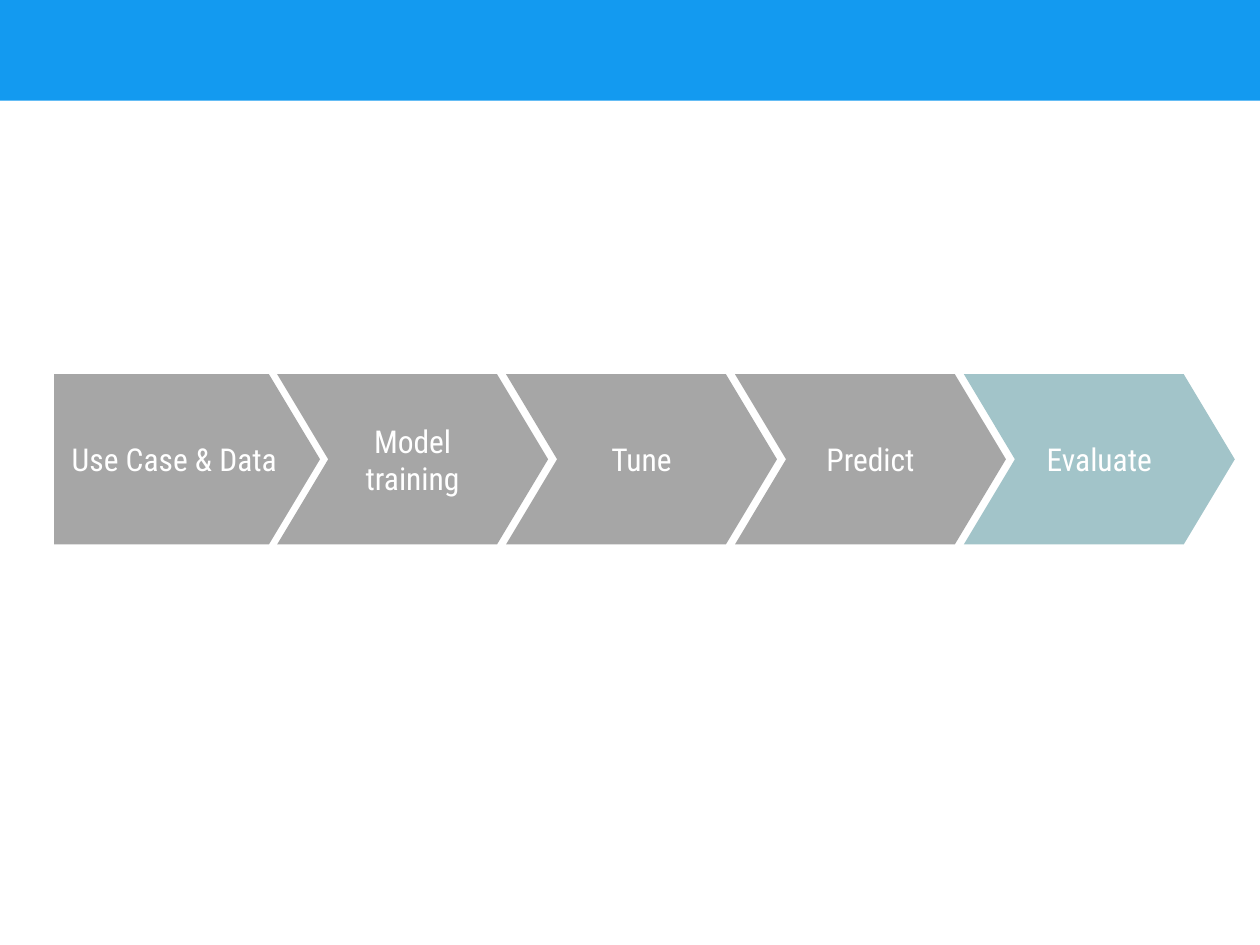
from dataclasses import dataclass

from pptx import Presentation
from pptx.dml.color import RGBColor as Rgb
from pptx.enum.shapes import MSO_SHAPE as Kind
from pptx.enum.text import MSO_ANCHOR as Anchor, PP_ALIGN as Align
from pptx.util import Inches, Pt

HUES = {"bar": "139AF0", "done": "A6A6A6", "now": "A2C4C9", "text": "FFFFFF"}
FONT = {"name": "Roboto Condensed", "size": Pt(18), "bold": False}
FRAME = {"word_wrap": True, "vertical_anchor": Anchor.MIDDLE}
FRAME |= {f"margin_{side}": Inches(0.1) for side in ("left", "top", "right", "bottom")}

# Row of steps, in inches
TOP, HIGH = 2.97, 1.35
FIRST, LAST = 2.2, 7.65


@dataclass
class Step:
    text: str
    left: float
    width: float = 2.15
    kind: Kind = Kind.CHEVRON
    hue: str = "done"


def add_block(slide, kind: Kind, left: float, top: float,
              width: float, height: float, hue: str):
    shape = slide.shapes.add_shape(
        kind, Inches(left), Inches(top), Inches(width), Inches(height))
    shape.shadow.inherit = False
    shape.fill.solid()
    shape.fill.fore_color.rgb = Rgb.from_string(HUES[hue])
    shape.line.fill.background()
    return shape


def add_step(slide, step: Step) -> None:
    shape = add_block(slide, step.kind, step.left, TOP, step.width, HIGH, step.hue)
    shape.adjustments[0] = 0.3
    frame = shape.text_frame
    for key, value in FRAME.items():
        setattr(frame, key, value)
    para = frame.paragraphs[0]
    para.alignment = Align.CENTER
    run = para.add_run()
    run.text = step.text
    for key, value in FONT.items():
        setattr(run.font, key, value)
    run.font.color.rgb = Rgb.from_string(HUES["text"])


def main() -> None:
    deck = Presentation()
    deck.slide_width, deck.slide_height = Inches(10), Inches(7.5)
    slide = deck.slides.add_slide(deck.slide_layouts[6])

    # Header bar
    add_block(slide, Kind.RECTANGLE, 0, 0, 10, 0.8, "bar")

    # Process: one pentagon, then evenly spaced chevrons
    names = ["Model training", "Tune", "Predict", "Evaluate"]
    pitch = (LAST - FIRST) / (len(names) - 1)
    steps = [Step("Use Case & Data", 0.43, 2.11, Kind.PENTAGON)]
    steps += [Step(name, FIRST + i * pitch) for i, name in enumerate(names)]
    steps[-1].hue = "now"
    for step in steps:
        add_step(slide, step)

    deck.save("out.pptx")


if __name__ == "__main__":
    main()
